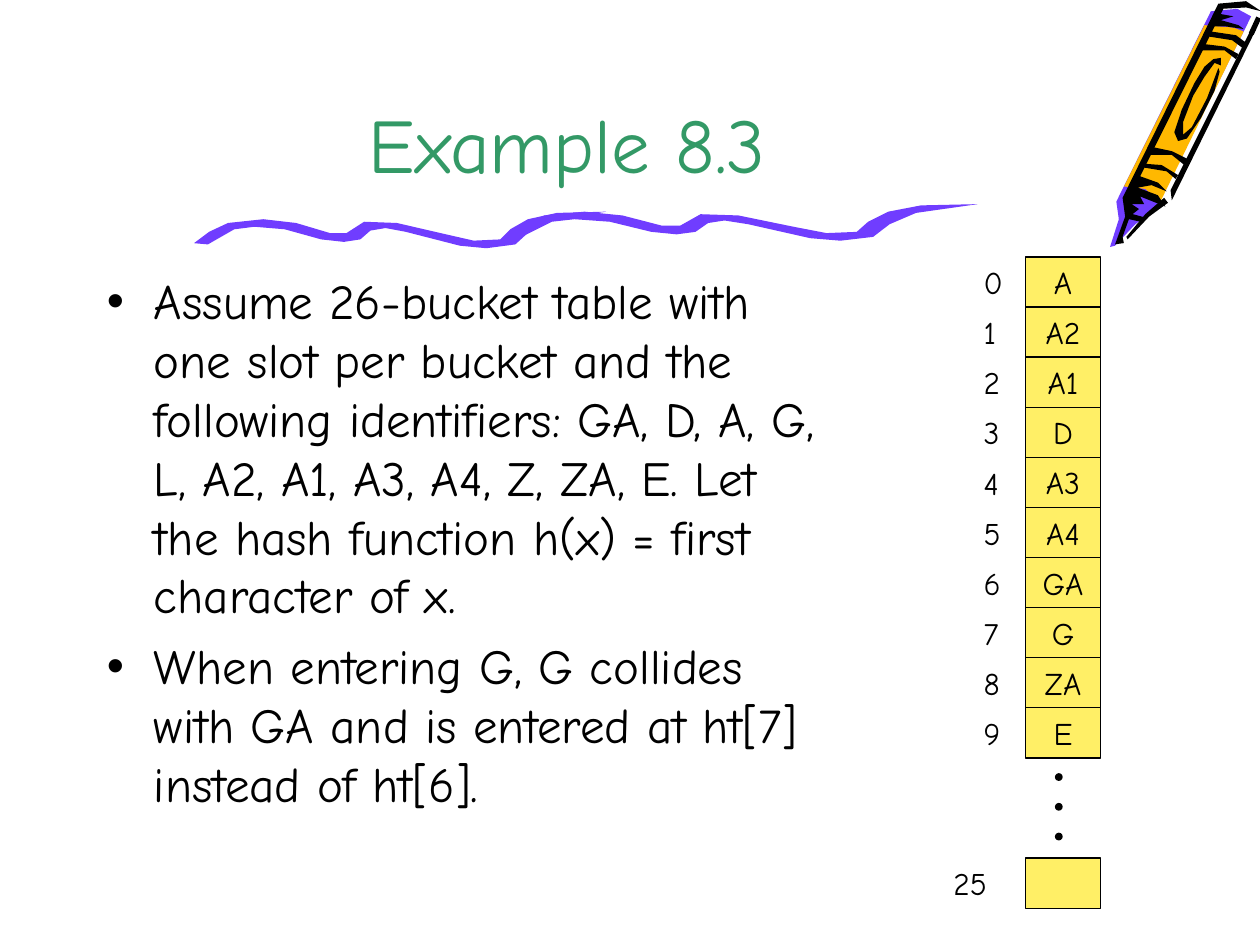
import pptx
import pptx.util
import pptx.dml.color
import pptx.enum.shapes
import pptx.enum.text
import pptx.oxml.xmlchemy
from lxml import etree

Cm, Pt, RGB = pptx.util.Cm, pptx.util.Pt, pptx.dml.color.RGBColor
SHAPE = pptx.enum.shapes.MSO_SHAPE
ANCHOR = pptx.enum.text.MSO_ANCHOR
ALIGN = pptx.enum.text.PP_ALIGN
FIT = pptx.enum.text.MSO_AUTO_SIZE

FONT = "Comic Neue"
BLACK = RGB(0, 0, 0)
GREEN = RGB(0x33, 0x99, 0x66)
PURPLE = RGB(0x70, 0x3D, 0xFF)
ORANGE = RGB(0xFF, 0xB8, 0x00)
YELLOW = RGB(0xFF, 0xEF, 0x66)

TITLE = "Example 8.3"
BULLETS = [
    "Assume 26-bucket table with one slot per bucket and the following identifiers: "
    "GA, D, A, G, L, A2, A1, A3, A4, Z, ZA, E. Let the hash function h(x) = first "
    "character of x.",
    "When entering G, G collides with GA and is entered at ht[7] instead of ht[6].",
]
BUCKETS = ["A", "A2", "A1", "D", "A3", "A4", "GA", "G", "ZA", "E"]
LAST_BUCKET, LAST_ROW = "25", 12

# Outlines are drawn on a grid of hundredths of an inch.
GRID = Cm(0.0254)
CRAYON = [
    (PURPLE, [(993, 13), (917, 166), (901, 178), (885, 195), (881, 196), (888, 174),
              (886, 160), (961, 9), (982, 7)]),
    (ORANGE, [(921, 160), (909, 150), (892, 148), (956, 20), (979, 22), (987, 25)]),
    (BLACK, [(927, 161), (912, 172), (895, 190), (894, 188), (909, 170), (924, 157)]),
    (BLACK, [(987, 23), (973, 21), (961, 21), (968, 11), (979, 13), (969, 16), (983, 20)]),
    (BLACK, [(968, 57), (964, 72), (953, 94), (942, 110), (935, 112), (932, 105),
             (938, 87), (948, 66), (956, 53), (963, 47), (969, 46), (969, 52),
             (964, 50), (956, 61), (947, 76), (939, 97), (939, 107), (946, 101),
             (958, 78), (967, 54)]),
    (BLACK, [(997, 23), (930, 159), (929, 151), (993, 23)]),
    (BLACK, [(925, 164), (919, 155), (903, 149), (914, 147), (926, 152), (919, 145),
             (905, 140), (971, 7), (989, 6), (1001, 9), (989, 1), (967, 3),
             (891, 157), (893, 172), (885, 194), (892, 193), (891, 188), (896, 174),
             (905, 176), (910, 173), (899, 170), (904, 166), (898, 162), (908, 162),
             (905, 156)]),
    (BLACK, [(933, 142), (926, 136), (908, 133), (909, 130), (922, 131), (935, 139)]),
    (BLACK, [(940, 131), (930, 123), (913, 123), (916, 117), (930, 120), (942, 126)]),
    (BLACK, [(981, 47), (972, 40), (953, 40), (956, 35), (972, 37), (983, 43)]),
    (BLACK, [(986, 38), (978, 32), (959, 29), (961, 25), (981, 28), (989, 34)]),
]
CRAYON_EDGE = [(999, 14), (993, 27)]
WAVE = [(11, 26), (32, 14), (48, 12), (72, 14), (101, 22), (119, 24), (132, 22),
        (140, 15), (152, 13), (168, 16), (211, 27), (232, 29), (255, 26), (266, 16),
        (284, 7), (327, 0), (288, 1), (265, 6), (251, 14), (243, 22), (222, 23),
        (200, 18), (161, 9), (135, 8), (121, 17), (108, 17), (81, 9), (55, 6),
        (27, 9), (12, 16), (0, 25)]
WAVES = [(154, 168, 1), (401, 162, 1.147)]  # left, top, stretch

ROW, TABLE_TOP = 1.01, 5.18
CELL_LEFT, CELL_WIDTH = 20.68, 1.5
DOT_TOP, DOT_STEP, DOT_SIZE, DOT_LEFT = 15.6, 0.6, 0.13, 21.28


def apply(target, values):
    for name, value in values.items():
        setattr(target, name, value)


def place(shape, left, top, width, height):
    apply(shape, dict(left=Cm(left), top=Cm(top), width=Cm(width), height=Cm(height)))


def write(para, text, size, color=BLACK, **layout):
    apply(para, layout)
    span = para.add_run()
    span.text = text
    apply(span.font, dict(name=FONT, size=Pt(size)))
    span.font.color.rgb = color


def paint(shape, fill, line=None):
    shape.shadow.inherit = False
    shape.fill.solid()
    shape.fill.fore_color.rgb = fill
    if line is None:
        shape.line.fill.background()
    else:
        shape.line.color.rgb = line
        shape.line.width = Pt(0.75)


def add_outline(slide, points, color):
    builder = slide.shapes.build_freeform(*points[0], scale=GRID)
    builder.add_line_segments(points[1:], close=True)
    paint(builder.convert_to_shape(), color)


def add_decoration(slide):
    for color, points in CRAYON:
        add_outline(slide, points, color)
    ends = [value * GRID for point in CRAYON_EDGE for value in point]
    edge = slide.shapes.add_connector(pptx.enum.shapes.MSO_CONNECTOR.STRAIGHT, *ends)
    edge.line.color.rgb = BLACK
    edge.line.width = Pt(3)
    effects = pptx.oxml.ns.qn("a:effectLst")
    etree.SubElement(edge._element.spPr, effects)
    for left, top, stretch in WAVES:
        points = [(round(left + x * stretch), top + y) for x, y in WAVE]
        add_outline(slide, points, PURPLE)


def add_text(slide):
    title, body = slide.placeholders
    place(title, 1.9, 0, 19.08, 3.94)
    apply(title.text_frame, dict(vertical_anchor=ANCHOR.BOTTOM, auto_size=FIT.NONE))
    write(title.text_frame.paragraphs[0], TITLE, 44, GREEN, alignment=ALIGN.CENTER)

    place(body, 1.9, 5.33, 15.06, 11.2)
    frame = body.text_frame
    frame.auto_size = FIT.NONE
    for index, text in enumerate(BULLETS):
        para = frame.add_paragraph() if index else frame.paragraphs[0]
        write(para, text, 28, space_before=Pt(7))
        properties = para._p.get_or_add_pPr()
        properties.set("marL", str(Cm(0.95)))
        properties.set("indent", str(-Cm(0.95)))
        bullet = etree.SubElement(properties, pptx.oxml.ns.qn("a:buChar"))
        bullet.set("char", "•")


def add_bucket(slide, row, number, key, label_left, label_width):
    top = TABLE_TOP + row * ROW
    cell = slide.shapes.add_shape(SHAPE.RECTANGLE, 0, 0, 0, 0)
    place(cell, CELL_LEFT, top, CELL_WIDTH, ROW)
    paint(cell, YELLOW, BLACK)
    if key:
        apply(cell.text_frame, dict(word_wrap=False, vertical_anchor=ANCHOR.MIDDLE))
        write(cell.text_frame.paragraphs[0], key, 18, alignment=ALIGN.CENTER)
    label = slide.shapes.add_textbox(0, 0, 0, 0)
    place(label, label_left, top, label_width, ROW)
    label.text_frame.word_wrap = True
    write(label.text_frame.paragraphs[0], number, 18)


def add_hash_table(slide):
    for row, key in enumerate(BUCKETS):
        add_bucket(slide, row, str(row), key, 19.58, 1.04)
    add_bucket(slide, LAST_ROW, LAST_BUCKET, "", 18.97, 1.7)
    for index in range(3):
        dot = slide.shapes.add_shape(SHAPE.OVAL, 0, 0, 0, 0)
        place(dot, DOT_LEFT, DOT_TOP + index * DOT_STEP, DOT_SIZE, DOT_SIZE)
        paint(dot, BLACK, BLACK)


def main():
    deck = pptx.Presentation()
    apply(deck, dict(slide_width=Cm(25.4), slide_height=Cm(19.05)))
    slide = deck.slides.add_slide(deck.slide_layouts[1])
    add_text(slide)
    add_decoration(slide)
    add_hash_table(slide)
    deck.save("out.pptx")


if __name__ == "__main__":
    main()
